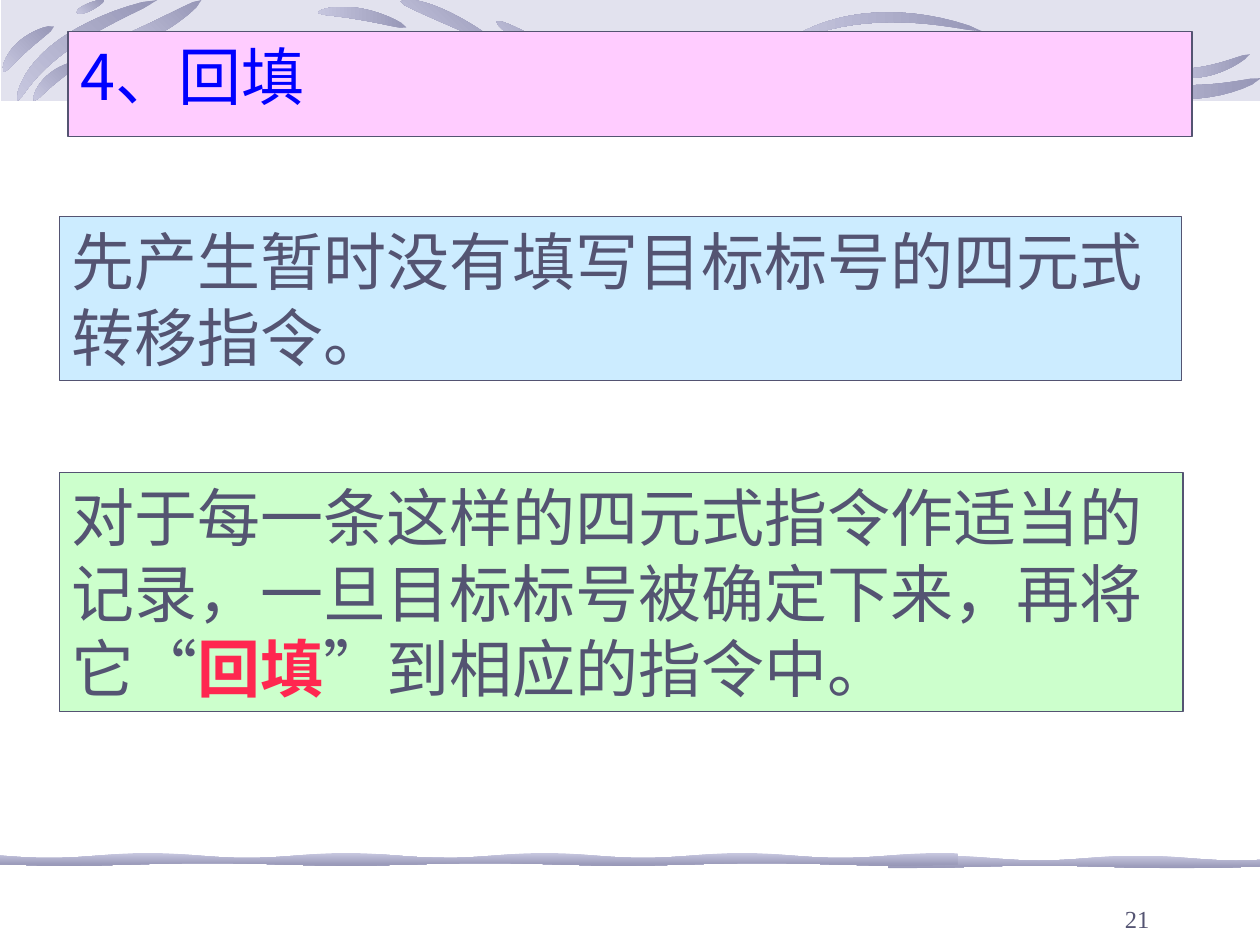
from math import pi, sin
from lxml.etree import SubElement
from pptx import Presentation
from pptx.dml.color import RGBColor
from pptx.enum.shapes import MSO_SHAPE
from pptx.enum.text import MSO_ANCHOR, MSO_AUTO_SIZE, PP_ALIGN
from pptx.oxml.ns import qn
from pptx.util import Inches, Pt

SANS, SERIF = "Noto Sans CJK JP", "Times New Roman"
INK, DARK, LIGHT = "545472", "9797B7", "C7C7DF"

prs = Presentation()
prs.slide_width, prs.slide_height = Inches(10), Inches(7.5)
UNIT = prs.slide_width // 1000  # the grid has 1000 columns and 750 rows

# Brush strokes on the grid: start, middle, end, thickness
LEFT_STROKES = [
    ((3, 57), (18, 37), (43, 21), 10),
    ((14, 80), (50, 36), (125, 0), 11),
    ((27, 80), (42, 62), (65, 49), 9),
    ((61, 10), (70, 6), (83, 0), 6),
    ((86, 35), (120, 24), (160, 0), 11),
    ((318, 1), (350, 12), (395, 35), 10),
    ((394, 17), (420, 32), (458, 51), 9),
]
RIGHT_STROKES = [
    ((252, 10), (285, 11), (323, 22), 9),
    ((624, 34), (695, 14), (780, 25), 8),
    ((641, 39), (675, 30), (705, 29), 7),
    ((864, 58), (935, 73), (1001, 62), 11),
    ((924, 55), (955, 57), (992, 43), 8),
]
# Footer strips: left, right, middle row
FOOTER_STRIPS = [(705, 1003, 684), (300, 760, 682), (0, 353, 682)]


def color(hex_code):
    return RGBColor.from_string(hex_code)


def brush_outline(start, middle, end, thickness, steps=16):
    """Outline of a tapered stroke whose curve passes through three points."""
    upper, lower = [], []
    for i in range(steps + 1):
        t = i / steps
        x, y = (a * (1 - t) * (1 - 2 * t) + 4 * b * t * (1 - t) + c * t * (2 * t - 1)
                for a, b, c in zip(start, middle, end))
        dx, dy = (a * (4 * t - 3) + b * (4 - 8 * t) + c * (4 * t - 1)
                  for a, b, c in zip(start, middle, end))
        half = thickness / 2 * max(sin(pi * t), 0) ** 0.5 / (dx * dx + dy * dy) ** 0.5
        upper.append((x + dy * half, y - dx * half))
        lower.append((x - dy * half, y + dx * half))
    return upper + lower[::-1]


def strip_outline(left, right, row, steps=40):
    """Outline of a gently waving strip."""
    xs = [left + (right - left) * i / steps for i in range(steps + 1)]
    upper = [(x, row - 3 + 2 * sin(x / 25)) for x in xs]
    lower = [(x, row + 4 + sin(x / 35)) for x in xs]
    return upper + lower[::-1]


def add_outline(slide, points):
    points = [(x * UNIT, max(y, 0) * UNIT) for x, y in points]
    builder = slide.shapes.build_freeform(*points[0])
    builder.add_line_segments(points[1:], close=True)
    sp = builder.convert_to_shape()
    sp.shadow.inherit = False
    sp.line.fill.background()
    return sp


def set_gradient(sp, colors, angle):
    sp.fill.gradient()
    grad = sp.element.spPr.find(qn("a:gradFill"))
    for child in list(grad):
        grad.remove(child)
    stops = SubElement(grad, qn("a:gsLst"))
    for i, hex_code in enumerate(colors):
        stop = SubElement(stops, qn("a:gs"), pos=str(100000 * i // (len(colors) - 1)))
        SubElement(stop, qn("a:srgbClr"), val=hex_code)
    SubElement(grad, qn("a:lin"), ang=str(angle * 60000), scaled="0")


def add_header(slide, box):
    left, top, width, height = box
    right, bottom = left + width, top + height
    band = add_outline(slide, [(left, top), (right, top), (right, bottom), (left, bottom)])
    band.fill.solid()
    band.fill.fore_color.rgb = color(LIGHT)
    SubElement(band.element.spPr.find(".//" + qn("a:srgbClr")), qn("a:alpha"), val="50000")
    for strokes, angle in ((LEFT_STROKES, 135), (RIGHT_STROKES, 180)):
        for stroke in strokes:
            set_gradient(add_outline(slide, brush_outline(*stroke)), [DARK, LIGHT], angle)


def add_footer(slide):
    for strip in FOOTER_STRIPS:
        set_gradient(add_outline(slide, strip_outline(*strip)), [LIGHT, DARK], 90)


def add_text(p, text, size=36, font=SANS, hex_code=INK, bold=False):
    r = p.add_run()
    r.text = text
    r.font.size, r.font.name, r.font.bold = Pt(size), font, bold
    r.font.color.rgb = color(hex_code)
    SubElement(r.font._element, qn("a:ea"), typeface=SANS)


def place(sp, box):
    sp.left, sp.top, sp.width, sp.height = (v * UNIT for v in box)


def fill_panel(sp, box, fill, runs):
    """Turn a shape into a bordered panel with one paragraph of runs."""
    place(sp, box)
    sp.fill.solid()
    sp.fill.fore_color.rgb = color(fill)
    sp.line.color.rgb = color(INK)
    sp.line.width = Pt(0.75)
    tf = sp.text_frame
    tf.word_wrap, tf.auto_size = True, MSO_AUTO_SIZE.SHAPE_TO_FIT_TEXT
    tf.vertical_anchor = MSO_ANCHOR.TOP
    p = tf.paragraphs[0]
    p.alignment, p.space_before = PP_ALIGN.LEFT, Pt(13.5)
    for text, fmt in runs:
        add_text(p, text, **fmt)


def add_panel(slide, box, fill, runs):
    sp = slide.shapes.add_shape(MSO_SHAPE.RECTANGLE, 0, 0, 0, 0)
    sp.shadow.inherit = False
    fill_panel(sp, box, fill, runs)


def add_page_number(slide, box, number):
    sp = slide.shapes.add_textbox(0, 0, 0, 0)
    place(sp, box)
    tf = sp.text_frame
    tf.word_wrap, tf.vertical_anchor = True, MSO_ANCHOR.BOTTOM
    tf.paragraphs[0].alignment = PP_ALIGN.RIGHT
    add_text(tf.paragraphs[0], number, size=14, font=SERIF)


slide = prs.slides.add_slide(prs.slide_layouts[5])

# Brush decoration and page number
add_header(slide, (1, 0, 1000, 80))
add_footer(slide)
add_page_number(slide, (714, 696, 208, 50), "21")

# Title, brought in front of the header strokes
title = slide.shapes.title
slide.shapes.element.append(title.element)
fill_panel(title, (54, 25, 892, 70), "FFCCFF", [("4、回填", {"hex_code": "0000FF"})])

# Explanation panels
add_panel(slide, (47, 375, 892, 190), "CCFFCC", [
    ("对于每一条这样的四元式指令作适当的记录，一旦目标标号被确定下来，再将它", {}),
    ("“", {"font": SERIF}),
    ("回填", {"hex_code": "FF2750", "bold": True}),
    ("”", {"font": SERIF}),
    ("到相应的指令中。", {}),
])
add_panel(slide, (47, 172, 891, 130), "CCECFF",
          [("先产生暂时没有填写目标标号的四元式转移指令。", {})])

prs.save("out.pptx")
